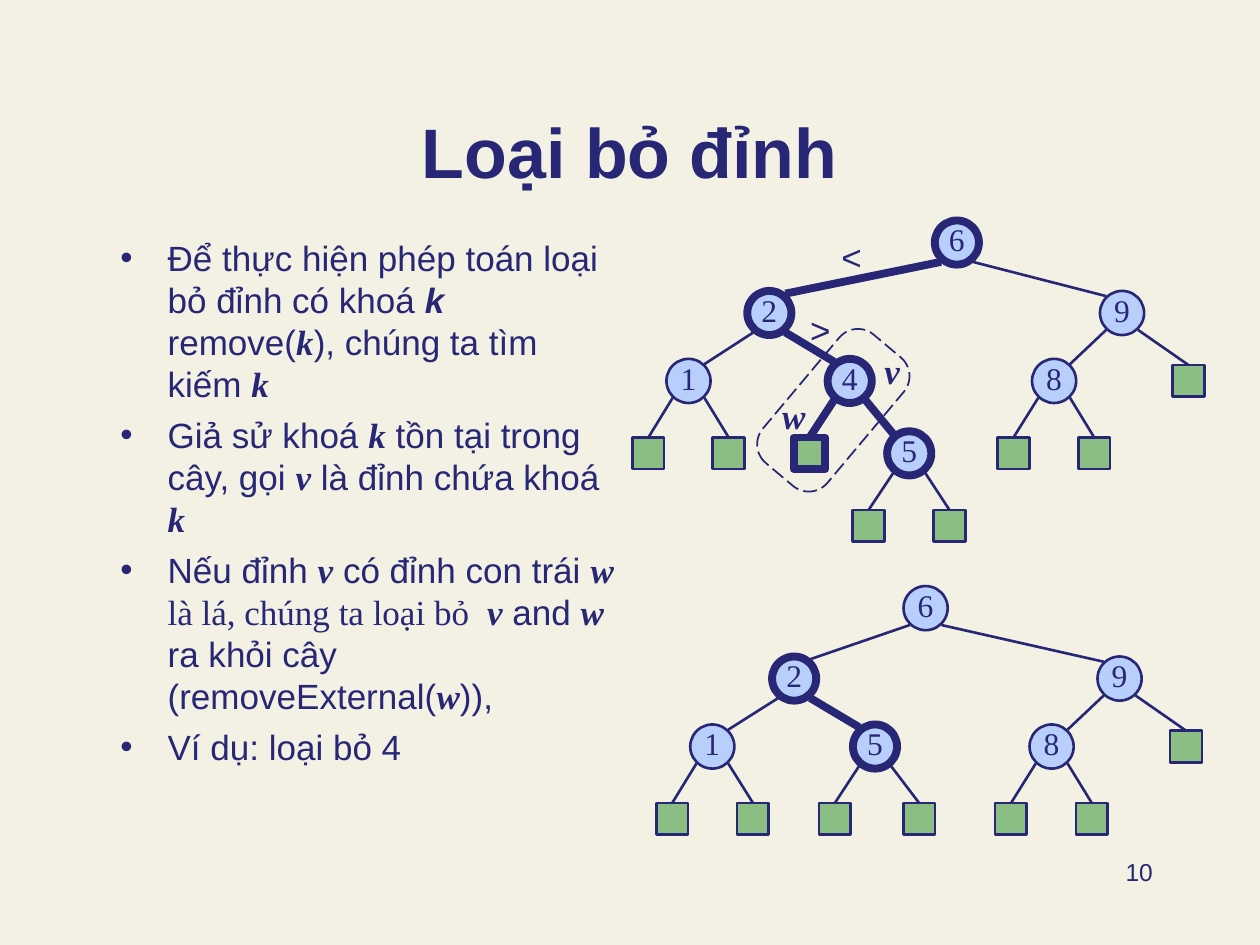
from dataclasses import dataclass
from typing import Optional

from lxml.etree import SubElement
from pptx import Presentation
from pptx.dml.color import RGBColor
from pptx.enum.dml import MSO_LINE
from pptx.enum.shapes import MSO_CONNECTOR, MSO_SHAPE
from pptx.enum.text import MSO_ANCHOR, PP_ALIGN
from pptx.oxml.ns import qn
from pptx.util import Cm, Pt


@dataclass(frozen=True)
class Theme:
    ink: RGBColor = RGBColor(0x27, 0x27, 0x76)
    paper: RGBColor = RGBColor(0xF3, 0xF1, 0xE4)
    node: RGBColor = RGBColor(0xB8, 0xCF, 0xFB)
    leaf: RGBColor = RGBColor(0x8B, 0xBE, 0x82)
    sans: str = "Arial"
    serif: str = "Times New Roman"
    title: int = 40
    body: int = 20
    key: int = 18
    number: int = 14
    thin: float = 1.5
    thick: float = 4.5


@dataclass
class Node:
    x: float
    key: str = ""
    bold: bool = False
    left: Optional["Node"] = None
    right: Optional["Node"] = None


T = Theme()
ROWS = (0, 1.42, 2.79, 4.25, 5.71)
NODE_SIZE = 0.89
LEAF_SIZE = 0.64
EDGE_DX = 0.32

VAR = dict(font=T.serif, bold=True, italic=True)
BULLETS = [
    [("Để thực hiện phép toán loại bỏ đỉnh có khoá ", {}),
     ("k ", dict(bold=True, italic=True)), ("remove(", {}), ("k", VAR),
     ("), chúng ta tìm kiếm ", {}), ("k", VAR)],
    [("Giả sử khoá ", {}), ("k", VAR), (" tồn tại trong cây, gọi ", {}),
     ("v", VAR), (" là đỉnh chứa khoá ", {}), ("k", VAR)],
    [("Nếu đỉnh ", {}), ("v", VAR), (" có đỉnh con trái ", {}), ("w", VAR),
     (" là lá, chúng ta loại bỏ  ", dict(font=T.serif)), ("v", VAR),
     (" and ", {}), ("w", VAR), (" ra khỏi cây (removeExternal(", {}),
     ("w", VAR), (")),", {})],
    [("Ví dụ: loại bỏ 4", {})],
]

BEFORE = Node(
    19.29, "6", True,
    Node(15.51, "2", True,
         Node(13.88, "1", False, Node(13.07), Node(14.69)),
         Node(17.13, "4", True,
              Node(16.32, bold=True),
              Node(18.33, "5", True, Node(17.51), Node(19.14)))),
    Node(22.62, "9", False,
         Node(21.25, "8", False, Node(20.43), Node(22.06)),
         Node(23.96)))
AFTER = Node(
    18.66, "6", False,
    Node(16.01, "2", True,
         Node(14.36, "1", False, Node(13.55), Node(15.18)),
         Node(17.64, "5", True, Node(16.83), Node(18.53))),
    Node(22.57, "9", False,
         Node(21.2, "8", False, Node(20.38), Node(22.01)),
         Node(23.91)))


def add_run(p, text, font=T.sans, size=T.body, bold=False, italic=False):
    r = p.add_run()
    r.text = text
    f = r.font
    f.name, f.size, f.bold, f.italic = font, Pt(size), bold, italic
    f.color.rgb = T.ink


def add_label(s, text, x, y, w, h, align=PP_ALIGN.LEFT, wrap=False, **fmt):
    tf = s.shapes.add_textbox(Cm(x), Cm(y), Cm(w), Cm(h)).text_frame
    tf.word_wrap = wrap
    p = tf.paragraphs[0]
    p.alignment = align
    add_run(p, text, **fmt)


def add_title(s, text):
    sp = s.shapes.title
    sp.left, sp.top, sp.width, sp.height = Cm(1.9), Cm(1.27), Cm(21.59), Cm(2.74)
    tf = sp.text_frame
    tf.vertical_anchor = MSO_ANCHOR.BOTTOM
    p = tf.paragraphs[0]
    p.alignment = PP_ALIGN.CENTER
    add_run(p, text, size=T.title, bold=True)


def add_bullets(s, items):
    tf = s.shapes.add_textbox(Cm(2.18), Cm(4.65), Cm(10.52), Cm(12.27)).text_frame
    tf.word_wrap = True
    for i, item in enumerate(items):
        p = tf.add_paragraph() if i else tf.paragraphs[0]
        p.line_spacing = Pt(24)
        p.space_before = Pt(5 if i else 0)
        pPr = p._p.get_or_add_pPr()
        pPr.set("marL", str(Cm(0.95)))
        pPr.set("indent", str(-Cm(0.95)))
        SubElement(pPr, qn("a:buFont"), typeface=T.sans)
        SubElement(pPr, qn("a:buChar"), char="•")
        for text, fmt in item:
            add_run(p, text, **fmt)


def add_node(s, node, y):
    size = NODE_SIZE if node.key else LEAF_SIZE
    kind = MSO_SHAPE.OVAL if node.key else MSO_SHAPE.RECTANGLE
    sp = s.shapes.add_shape(kind, Cm(node.x - size / 2), Cm(y - size / 2),
                            Cm(size), Cm(size))
    sp.shadow.inherit = False
    sp.fill.solid()
    sp.fill.fore_color.rgb = T.node if node.key else T.leaf
    sp.line.color.rgb = T.ink
    sp.line.width = Pt(T.thick if node.bold else T.thin)
    if node.key:
        tf = sp.text_frame
        tf.word_wrap = False
        tf.vertical_anchor = MSO_ANCHOR.MIDDLE
        tf.margin_left = tf.margin_right = tf.margin_top = 0
        tf.margin_bottom = Cm(0.13)
        p = tf.paragraphs[0]
        p.alignment = PP_ALIGN.CENTER
        add_run(p, node.key, font=T.serif, size=T.key)
    return sp


def edge_dy(node):
    return 0.39 if node.bold else 0.34


def add_edge(s, parent, y, child, child_y, child_sp):
    side = 1 if child.x > parent.x else -1
    c = s.shapes.add_connector(
        MSO_CONNECTOR.STRAIGHT,
        Cm(parent.x + side * EDGE_DX), Cm(y + edge_dy(parent)),
        Cm(child.x - side * EDGE_DX), Cm(child_y - edge_dy(child)))
    if not child.key:
        c.end_connect(child_sp, 0)
    c.line.color.rgb = T.ink
    c.line.width = Pt(T.thick if parent.bold and child.bold else T.thin)
    SubElement(c._element.spPr, qn("a:effectLst"))


def add_tree(s, node, top, depth=0):
    y = top + ROWS[depth]
    sp = add_node(s, node, y)
    for child in filter(None, (node.left, node.right)):
        child_sp = add_tree(s, child, top, depth + 1)
        add_edge(s, node, y, child, top + ROWS[depth + 1], child_sp)
    return sp


def add_outline(s):
    sp = s.shapes.add_shape(MSO_SHAPE.ROUNDED_RECTANGLE,
                            Cm(15.11), Cm(7.42), Cm(3.38), Cm(1.7))
    sp.adjustments[0] = 0.29
    sp.rotation = 310
    sp.shadow.inherit = False
    sp.fill.background()
    sp.line.color.rgb = T.ink
    sp.line.width = Pt(1)
    sp.line.dash_style = MSO_LINE.LONG_DASH


def main():
    prs = Presentation()
    prs.slide_width, prs.slide_height = Cm(25.4), Cm(19.05)
    s = prs.slides.add_slide(prs.slide_layouts[5])
    s.background.fill.solid()
    s.background.fill.fore_color.rgb = T.paper
    add_title(s, "Loại bỏ đỉnh")
    add_bullets(s, BULLETS)
    add_tree(s, BEFORE, 4.89)
    add_tree(s, AFTER, 12.26)
    add_label(s, "v", 17.58, 6.93, 0.81, 1.12, **VAR)
    add_label(s, "w", 15.52, 7.82, 0.97, 1.12, **VAR)
    add_label(s, "<", 16.71, 4.62, 0.91, 1.12)
    add_label(s, ">", 16.08, 6.1, 0.91, 1.12)
    add_outline(s)
    add_label(s, "10", 18.21, 17.15, 5.28, 1.27, align=PP_ALIGN.RIGHT,
              wrap=True, size=T.number)
    prs.save("out.pptx")


if __name__ == "__main__":
    main()
